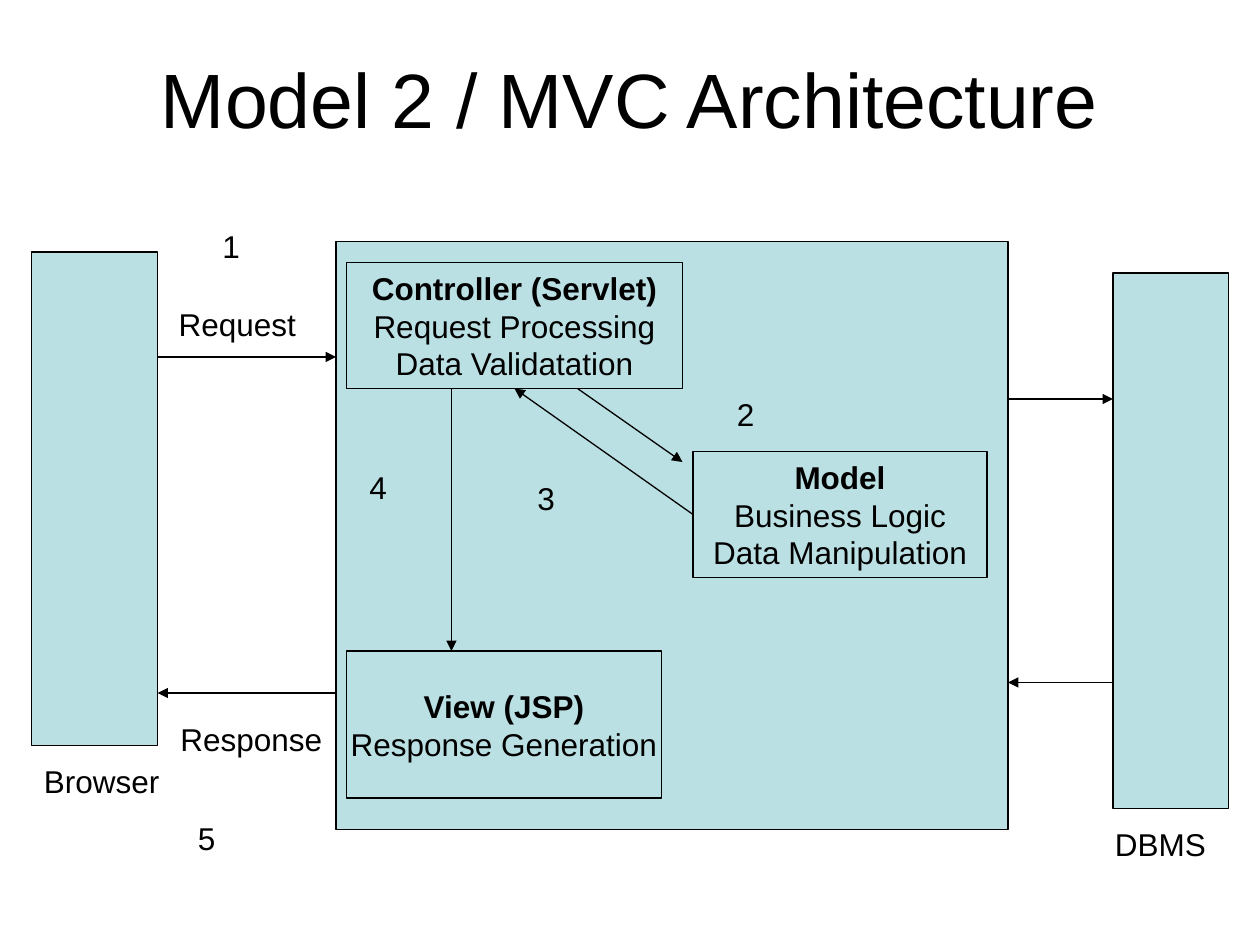
from lxml import etree
from pptx import Presentation
from pptx.dml.color import RGBColor
from pptx.enum import shapes, text
from pptx.oxml import ns
from pptx.util import Pt

COLORS = {"panel": "BBE0E3", "ink": "000000"}
FONT = "Arial"
LABEL_HEIGHT = 28.8


def color(name):
    return RGBColor.from_string(COLORS[name])


def style_paragraph(paragraph, size=18, bold=False, align=text.PP_ALIGN.LEFT):
    paragraph.alignment = align
    font = paragraph.font
    font.name, font.size, font.bold = FONT, Pt(size), bold
    font.color.rgb = color("ink")


def add_label(slide, words, left, top, width=30):
    box = slide.shapes.add_textbox(Pt(left), Pt(top), Pt(width), Pt(LABEL_HEIGHT))
    box.text_frame.word_wrap = True
    box.text_frame.text = words
    style_paragraph(box.text_frame.paragraphs[0])


def add_panel(slide, left, top, width, height, lines=()):
    """Draw a filled box; the first of its lines is a bold heading."""
    shape = slide.shapes.add_shape(
        shapes.MSO_SHAPE.RECTANGLE, Pt(left), Pt(top), Pt(width), Pt(height))
    shape.shadow.inherit = False
    shape.fill.solid()
    shape.fill.fore_color.rgb = color("panel")
    shape.line.color.rgb = color("ink")
    shape.line.width = Pt(0.75)
    if lines:
        frame = shape.text_frame
        frame.word_wrap = False
        frame.vertical_anchor = text.MSO_ANCHOR.MIDDLE
        frame.text = "\n".join(lines)
        for index, paragraph in enumerate(frame.paragraphs):
            style_paragraph(paragraph, bold=index == 0, align=text.PP_ALIGN.CENTER)


def add_arrow(slide, x1, y1, x2, y2):
    arrow = slide.shapes.add_connector(
        shapes.MSO_CONNECTOR.STRAIGHT, Pt(x1), Pt(y1), Pt(x2), Pt(y2))
    arrow.line.color.rgb = color("ink")
    arrow.line.width = Pt(0.75)
    etree.SubElement(arrow.line._get_or_add_ln(), ns.qn("a:tailEnd"), type="triangle")
    etree.SubElement(arrow._element.spPr, ns.qn("a:effectLst"))


def add_title(slide, words, left, top, width, height):
    box = slide.shapes.add_textbox(Pt(left), Pt(top), Pt(width), Pt(height))
    frame = box.text_frame
    frame.word_wrap = True
    frame.vertical_anchor = text.MSO_ANCHOR.MIDDLE
    frame.text = words
    style_paragraph(frame.paragraphs[0], size=44, align=text.PP_ALIGN.CENTER)


def add_browser(slide, left, top, width, height):
    add_panel(slide, left, top, width, height)
    add_label(slide, "Browser", left, top + height + 6, 86)


def add_database(slide, left, top, width, height):
    add_panel(slide, left, top, width, height)
    add_label(slide, "DBMS", left - 6, top + height + 6, 72)


def add_server(slide, left, top, width, height):
    add_panel(slide, left, top, width, height)
    # Controller, model and view
    for x, y, box_width, box_height, lines in (
        (6, 12, 192, 72,
         ("Controller (Servlet)", "Request Processing", "Data Validatation")),
        (204, 120, 168, 72, ("Model", "Business Logic", "Data Manipulation")),
        (6, 234, 180, 84, ("View (JSP)", "Response Generation")),
    ):
        add_panel(slide, left + x, top + y, box_width, box_height, lines)
    # Numbered steps between them
    for number, x, y, (x1, y1, x2, y2) in (
        ("2", 222, 84, (138, 84, 198, 126)),
        ("3", 108, 132, (204, 156, 102, 84)),
        ("4", 12, 126, (66, 84, 66, 234)),
    ):
        add_arrow(slide, left + x1, top + y1, left + x2, top + y2)
        add_label(slide, number, left + x, top + y)


def add_web_traffic(slide, left, top, width, height):
    """Request along the top edge of the gap, response along the bottom."""
    right, bottom = left + width, top + height
    add_arrow(slide, left, top, right, top)
    add_label(slide, "Request", left + 5, top - 33.5, 86)
    add_label(slide, "1", left + 30, top - 78)
    add_arrow(slide, right, bottom, left, bottom)
    add_label(slide, "Response", left + 6, bottom + 12, 100)
    add_label(slide, "5", left + 16, bottom + 68.5)


def add_database_traffic(slide, left, top, width, height):
    right, bottom = left + width, top + height
    add_arrow(slide, left, top, right, top)
    add_arrow(slide, right, bottom, left, bottom)


def main():
    presentation = Presentation()
    presentation.slide_width, presentation.slide_height = Pt(720), Pt(540)
    slide = presentation.slides.add_slide(presentation.slide_layouts[6])
    add_title(slide, "Model 2 / MVC Architecture", 36, 21.6, 648, 68.4)
    add_browser(slide, 18, 144, 72, 282)
    add_server(slide, 192, 138, 384, 336)
    add_database(slide, 636, 156, 66, 306)
    add_web_traffic(slide, 90, 204, 102, 192)
    add_database_traffic(slide, 576, 228, 60, 162)
    presentation.save("out.pptx")


if __name__ == "__main__":
    main()
